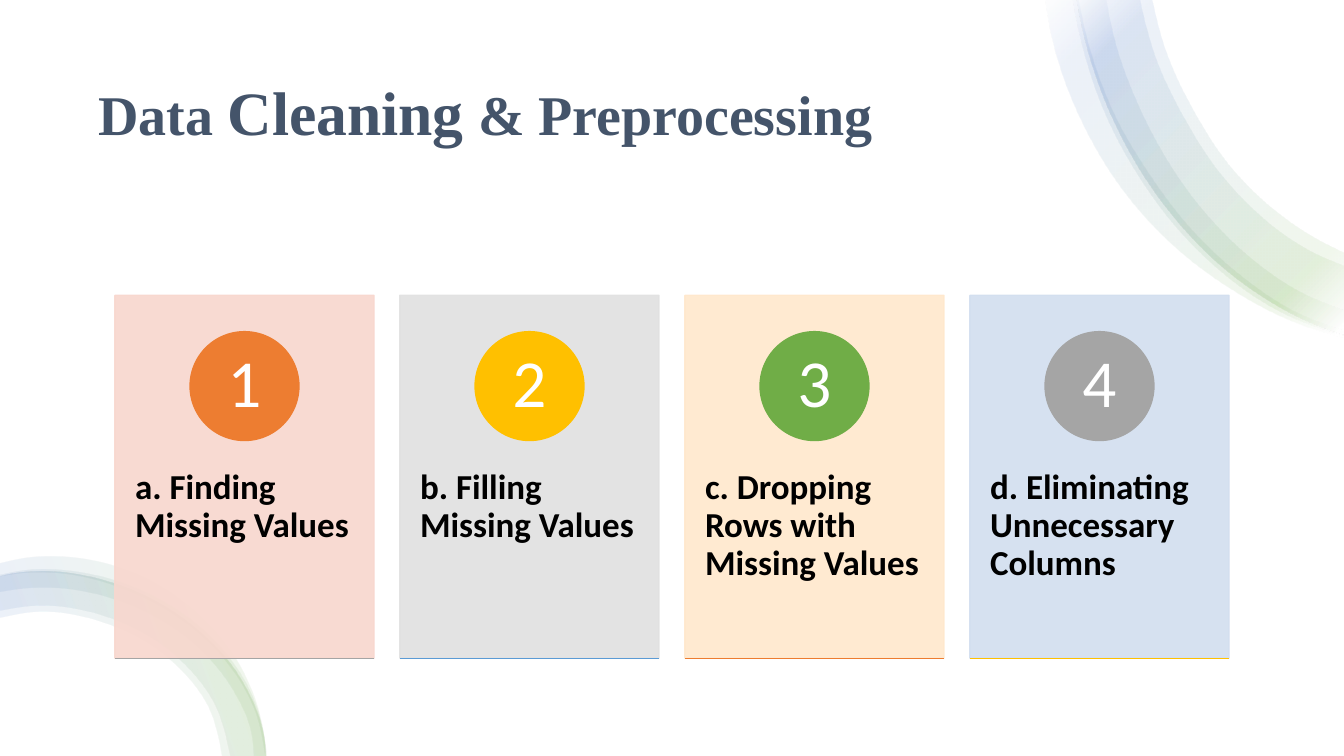
import math

import lxml.etree
import pptx
import pptx.dml.color
import pptx.enum.shapes
import pptx.enum.text
import pptx.oxml.ns
import pptx.util

Inches, Pt = pptx.util.Inches, pptx.util.Pt
RGB = pptx.dml.color.RGBColor.from_string
MSO_SHAPE = pptx.enum.shapes.MSO_SHAPE
ANCHOR, ALIGN = pptx.enum.text.MSO_ANCHOR, pptx.enum.text.PP_ALIGN
qn = pptx.oxml.ns.qn

COLORS = {
    "white": "FFFFFF", "black": "000000", "title": "44546A",
    "orange": "ED7D31", "gold": "FFC000", "green": "70AD47",
    "gray": "A5A5A5", "sky": "5B9BD5", "blue": "4472C4",
    "rose": "F8D7CE", "silver": "E1E1E1", "peach": "FFE8CC", "ice": "D2DEEF",
}


def bezier(knots):
    """Bezier points, three per segment, of a smooth curve through the knots."""
    gaps = [math.dist(a, b) for a, b in zip(knots, knots[1:])]
    before, after = [knots[0]], []
    for a, b, c, g, h in zip(knots, knots[1:], knots[2:], gaps, gaps[1:]):
        slope = [((q - p) * h / g + (r - q) * g / h) / (g + h) for p, q, r in zip(a, b, c)]
        after.append(tuple(q - v * g / 3 for q, v in zip(b, slope)))
        before.append(tuple(q + v * h / 3 for q, v in zip(b, slope)))
    after.append(knots[-1])
    before[0] = tuple((p + q) / 2 for p, q in zip(knots[0], after[0]))
    after[-1] = tuple((p + q) / 2 for p, q in zip(knots[-1], before[-1]))
    return [point for segment in zip(before, after, knots[1:]) for point in segment]


def add_text(s, at, insets, anchor, align, runs):
    """Add a one-paragraph text box; a run is (text, font, size, bold, color)."""
    tf = s.shapes.add_textbox(*map(Inches, at)).text_frame
    tf.word_wrap = True
    tf.vertical_anchor = anchor
    tf.margin_left = tf.margin_right = Inches(insets[0])
    tf.margin_top = tf.margin_bottom = Inches(insets[1])
    p = tf.paragraphs[0]
    p.alignment = align
    p.line_spacing = 0.9
    for text, font, size, bold, color in runs:
        r = p.add_run()
        r.text = text
        r.font.name, r.font.size, r.font.bold = font, Pt(size), bold
        r.font.color.rgb = RGB(COLORS[color])


prs = pptx.Presentation()
prs.slide_width, prs.slide_height = Inches(13.33), Inches(7.5)
s = prs.slides.add_slide(prs.slide_layouts[6])
backdrop = s.shapes.add_shape(MSO_SHAPE.RECTANGLE, 0, 0, prs.slide_width, prs.slide_height)
backdrop.shadow.inherit = False
backdrop.fill.solid()
backdrop.fill.fore_color.rgb = RGB(COLORS["white"])
backdrop.line.fill.background()

# Ribbons: gradient angle, outer edge, inner edge going back
top_angle, low_angle = 135, 200
top_outer = [(13.33, 3.32), (13.09, 3.24), (12.23, 2.74), (11.52, 2), (10.99, 1.07),
             (10.69, 0.04), (10.67, -0.09)]
low_outer = [(2.63, 7.5), (2.62, 7.35), (2.36, 6.69), (1.85, 6.16), (1.17, 5.8),
             (0.4, 5.67), (0.04, 5.71), (0, 5.72)]
bands = [
    (top_angle,
     [(13.33, 3.35), (12.82, 3.19), (12.21, 2.87), (11.65, 2.45), (11.16, 1.92),
      (10.78, 1.31), (10.41, 0.26), (10.36, -0.09)],
     [(10.68, -0.09), (10.82, 0.52), (11.06, 1.15), (11.4, 1.73), (11.81, 2.27),
      (12.3, 2.73), (12.86, 3.1), (13.33, 3.28)]),
    (top_angle, top_outer,
     [(11.41, -0.09), (11.58, 0.55), (11.85, 1.12), (12.19, 1.64), (13.07, 2.38),
      (13.33, 2.51)]),
    (top_angle,
     [(13.33, 3.33), (12.79, 3.14), (11.73, 2.33), (11.32, 1.79), (10.99, 1.19),
      (10.68, 0.2), (10.63, -0.09)],
     [(10.96, -0.09), (11.07, 0.44), (11.29, 1.04), (11.95, 2.11), (12.39, 2.55),
      (12.9, 2.9), (13.33, 3.08)]),
    (top_angle, top_outer,
     [(11.29, -0.09), (11.47, 0.59), (11.75, 1.18), (12.1, 1.72), (13.01, 2.5),
      (13.33, 2.64)]),
    (low_angle, low_outer,
     [(0, 6.13), (0.4, 6.07), (1.07, 6.19), (1.66, 6.52), (2.06, 7), (2.2, 7.5)]),
    (low_angle, low_outer,
     [(0, 6.06), (0.4, 6.01), (1.09, 6.13), (1.7, 6.47), (2.12, 6.97), (2.28, 7.5)]),
    (low_angle,
     [(2.63, 7.5), (2.59, 7.19), (2.47, 6.85), (2.03, 6.27), (1.42, 5.87),
      (0.69, 5.67), (0.31, 5.66), (0, 5.71)],
     [(0, 5.88), (0.33, 5.84), (0.67, 5.85), (1.34, 6.03), (1.92, 6.39),
      (2.34, 6.91), (2.47, 7.21), (2.51, 7.5)]),
    (low_angle,
     [(2.64, 7.5), (2.5, 6.87), (2.33, 6.53), (1.96, 6.09), (1.48, 5.75),
      (0.71, 5.53), (0.31, 5.53), (0, 5.59)],
     [(0, 5.72), (0.32, 5.68), (0.69, 5.7), (1.22, 5.84), (1.71, 6.09),
      (2.25, 6.58), (2.52, 7.05), (2.62, 7.5)]),
]
stops = [(2, "white"), (16, "green"), (85, "blue"), (100, "white")]
for angle, outer, inner in bands:
    outer_curve, inner_curve = bezier(outer), bezier(inner)
    outline = [outer[0], *outer_curve, inner[0], *inner_curve]
    outline = [(Inches(x), Inches(y)) for x, y in outline]
    builder = s.shapes.build_freeform(*outline[0])
    builder.add_line_segments(outline[1:], close=True)
    band = builder.convert_to_shape()

    # Turn every three line points of an edge into one curve segment
    lines = list(band.element.iter(qn("a:lnTo")))
    turn = len(outer_curve)
    edge_points = lines[:turn] + lines[turn + 1:turn + 1 + len(inner_curve)]
    for first, second, third in zip(*[iter(edge_points)] * 3):
        curve = lxml.etree.Element(qn("a:cubicBezTo"))
        first.addprevious(curve)
        for line in (first, second, third):
            curve.append(line[0])
            line.getparent().remove(line)

    band.shadow.inherit = False
    band.line.fill.background()
    band.fill.gradient()
    band.fill.gradient_angle = angle
    gradient = next(band.element.iter(qn("a:gsLst")))
    for stop in list(gradient):
        gradient.remove(stop)
    for position, color in stops:
        stop = lxml.etree.SubElement(gradient, qn("a:gs"), pos=str(position * 1000))
        rgb = lxml.etree.SubElement(stop, qn("a:srgbClr"), val=COLORS[color])
        lxml.etree.SubElement(rgb, qn("a:alpha"), val="10000")

add_text(s, (0.88, 0.5, 11.57, 1.3), (0.1, 0.05), ANCHOR.MIDDLE, ALIGN.LEFT, [
    (text, "Times New Roman", size, True, "title")
    for text, size in [("Data ", 40), ("Cleaning", 44), (" & Preprocessing", 40)]])

# Cards
cards = [
    ("a. Finding Missing Values", "rose", "orange", "gray"),
    ("b. Filling Missing Values", "silver", "gold", "sky"),
    ("c. Dropping Rows with Missing Values", "peach", "green", "orange"),
    ("d. Eliminating Unnecessary Columns", "ice", "gray", "gold"),
]
card_w, card_h, card_top = 2.57, 3.6, 2.93
first_left, last_left = 1.14, 9.62
pitch = (last_left - first_left) / (len(cards) - 1)
circle, number = 1.08, 0.76
for i, (label, card_color, circle_color, rule_color) in enumerate(cards):
    left = first_left + i * pitch
    middle = left + card_w / 2
    for kind, at, color, opacity in [
        (MSO_SHAPE.RECTANGLE, (left, card_top, card_w, card_h), card_color, 90),
        (MSO_SHAPE.OVAL, (middle - circle / 2, 3.29, circle, circle), circle_color, 100),
    ]:
        sp = s.shapes.add_shape(kind, *map(Inches, at))
        sp.shadow.inherit = False
        sp.fill.solid()
        sp.fill.fore_color.rgb = sp.line.color.rgb = RGB(COLORS[color])
        sp.line.width = Pt(1)
        if opacity < 100:
            for rgb in sp.element.spPr.iter(qn("a:srgbClr")):
                lxml.etree.SubElement(rgb, qn("a:alpha"), val=str(opacity * 1000))
    add_text(s, (left, 4.3, card_w, 2.16), (0.2, 0.36), ANCHOR.TOP, ALIGN.LEFT,
             [(label, "Calibri", 25, True, "black")])
    add_text(s, (middle - number / 2, 3.45, number, number), (0.08, 0.01), ANCHOR.MIDDLE,
             ALIGN.CENTER, [(str(i + 1), "Calibri", 48, False, "white")])
    bottom = Inches(card_top + card_h)
    rule = s.shapes.add_connector(pptx.enum.shapes.MSO_CONNECTOR.STRAIGHT,
                                  Inches(left), bottom, Inches(left + card_w), bottom)
    rule.line.color.rgb = RGB(COLORS[rule_color])
    rule.line.width = Pt(1)
    lxml.etree.SubElement(rule.element.spPr, qn("a:effectLst"))

prs.save("out.pptx")
